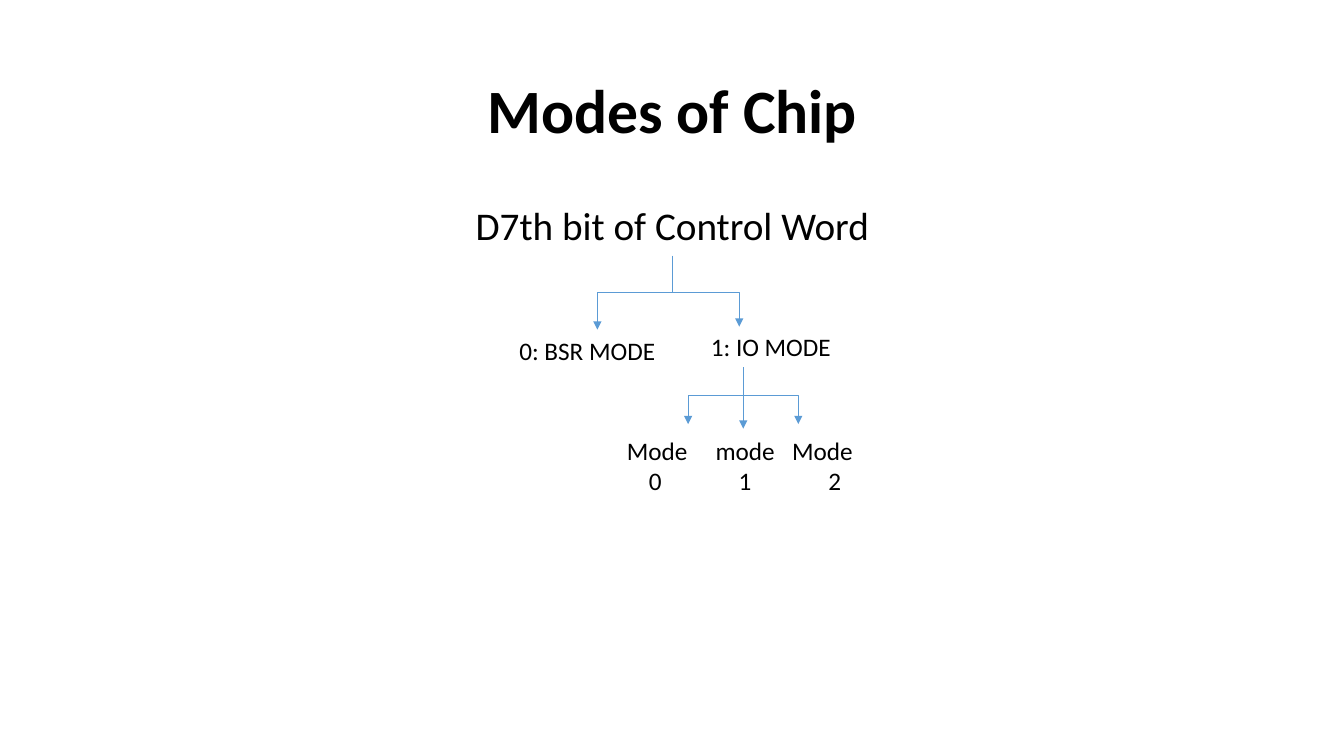
from dataclasses import dataclass

from lxml import etree
from pptx import Presentation
from pptx import util as u
from pptx.dml.color import RGBColor
from pptx.enum import shapes, text
from pptx.oxml.ns import qn

COLORS = {"text": "000000", "arrow": "5B9BD5"}
FONT = "Calibri"
WIDTH, HEIGHT = u.Inches(13.33), u.Inches(7.5)


# Positions and sizes are percentages of the slide's width and height.
@dataclass(frozen=True)
class Arrow:
    x1: float
    y1: float
    x2: float
    y2: float


@dataclass(frozen=True)
class Label:
    lines: tuple[str, ...]
    box: tuple[float, float, float, float]
    tabs: tuple[tuple[float, ...], ...] = ()  # tab stops of each line, inches


ARROWS = [
    Arrow(50, 33.8, 44.45, 43.6),
    Arrow(50, 34.2, 55, 43.2),
    Arrow(55.3, 48.6, 51.2, 56.1),
    Arrow(55.3, 49.7, 55.3, 56.7),
    Arrow(55.3, 48.6, 59.4, 56.1),
]
LABELS = [
    Label(("0: BSR MODE",), (37.9, 43.65, 13.2, 5.33)),
    Label(("1: IO MODE",), (52.15, 43.2, 13.2, 5.33)),
    Label(("Mode\tmode\tMode", "\t0\t1\t2"), (45.9, 56.95, 23.9, 9.5),
          ((0.88, 1.64), (0.22, 1.11, 2.0))),
]


def across(share: float) -> int:
    return round(WIDTH * share / 100)


def down(share: float) -> int:
    return round(HEIGHT * share / 100)


def place(sp, box: tuple[float, float, float, float]) -> None:
    sp.left, sp.width = across(box[0]), across(box[2])
    sp.top, sp.height = down(box[1]), down(box[3])


def write(p, content: str, *, size: float, bold: bool = False, align=None,
          line_spacing=None, before: float = 0, tabs: tuple[float, ...] = ()) -> None:
    p.alignment = align
    p.line_spacing = line_spacing
    p.space_before = u.Pt(before)
    p.text = content
    for r in p.runs:
        r.font.name, r.font.size, r.font.bold = FONT, u.Pt(size), bold
        r.font.color.rgb = RGBColor.from_string(COLORS["text"])
    if tabs:
        stops = etree.SubElement(p._p.get_or_add_pPr(), qn("a:tabLst"))
        for stop in tabs:
            etree.SubElement(stops, qn("a:tab"), pos=str(u.Inches(stop)), algn="l")


def add_label(slide, label: Label) -> None:
    sp = slide.shapes.add_textbox(0, 0, 0, 0)
    place(sp, label.box)
    tf = sp.text_frame
    tf.word_wrap = True
    for i, line in enumerate(label.lines):
        p = tf.add_paragraph() if i else tf.paragraphs[0]
        write(p, line, size=18, tabs=label.tabs[i] if label.tabs else ())


def add_arrow(slide, arrow: Arrow) -> None:
    """Draw a straight arrow, or an elbow that leaves and arrives vertically."""
    x1, x2 = across(arrow.x1), across(arrow.x2)
    y1, y2 = down(arrow.y1), down(arrow.y2)
    if x1 == x2:
        c = slide.shapes.add_connector(shapes.MSO_CONNECTOR.STRAIGHT, x1, y1, x2, y2)
    else:
        # An elbow runs sideways first, so it is laid out turned by a quarter.
        mid_x, mid_y = (x1 + x2) // 2, (y1 + y2) // 2
        half_run, half_rise = abs(x2 - x1) // 2, (y2 - y1) // 2
        start = -half_rise if x2 < x1 else half_rise
        c = slide.shapes.add_connector(
            shapes.MSO_CONNECTOR.ELBOW, mid_x + start, mid_y - half_run,
            mid_x - start, mid_y + half_run)
        degrees = 90 if x2 < x1 else 270
        c._element.spPr.find(qn("a:xfrm")).set("rot", str(degrees * 60000))
    c.line.color.rgb = RGBColor.from_string(COLORS["arrow"])
    c.line.width = u.Pt(0.5)
    etree.SubElement(c.line._get_or_add_ln(), qn("a:tailEnd"), type="triangle")
    etree.SubElement(c._element.spPr, qn("a:effectLst"))


def main() -> None:
    prs = Presentation()
    prs.slide_width, prs.slide_height = WIDTH, HEIGHT
    slide = prs.slides.add_slide(prs.slide_layouts[1])

    title, body = slide.placeholders
    place(title, (6.9, 5.33, 86.25, 19.33))
    title.text_frame.vertical_anchor = text.MSO_ANCHOR.MIDDLE
    write(title.text_frame.paragraphs[0], "Modes of Chip", size=44, bold=True,
          align=text.PP_ALIGN.CENTER, line_spacing=0.9)

    place(body, (6.9, 26.67, 86.25, 63.47))
    p = body.text_frame.paragraphs[0]
    write(p, "D7th bit of Control Word", size=28, before=10,
          align=text.PP_ALIGN.CENTER, line_spacing=0.9)
    pPr = p._p.get_or_add_pPr()
    pPr.set("marL", "0")
    pPr.set("indent", "0")
    etree.SubElement(pPr, qn("a:buNone"))

    for arrow in ARROWS:
        add_arrow(slide, arrow)
    for label in LABELS:
        add_label(slide, label)
    prs.save("out.pptx")


if __name__ == "__main__":
    main()
